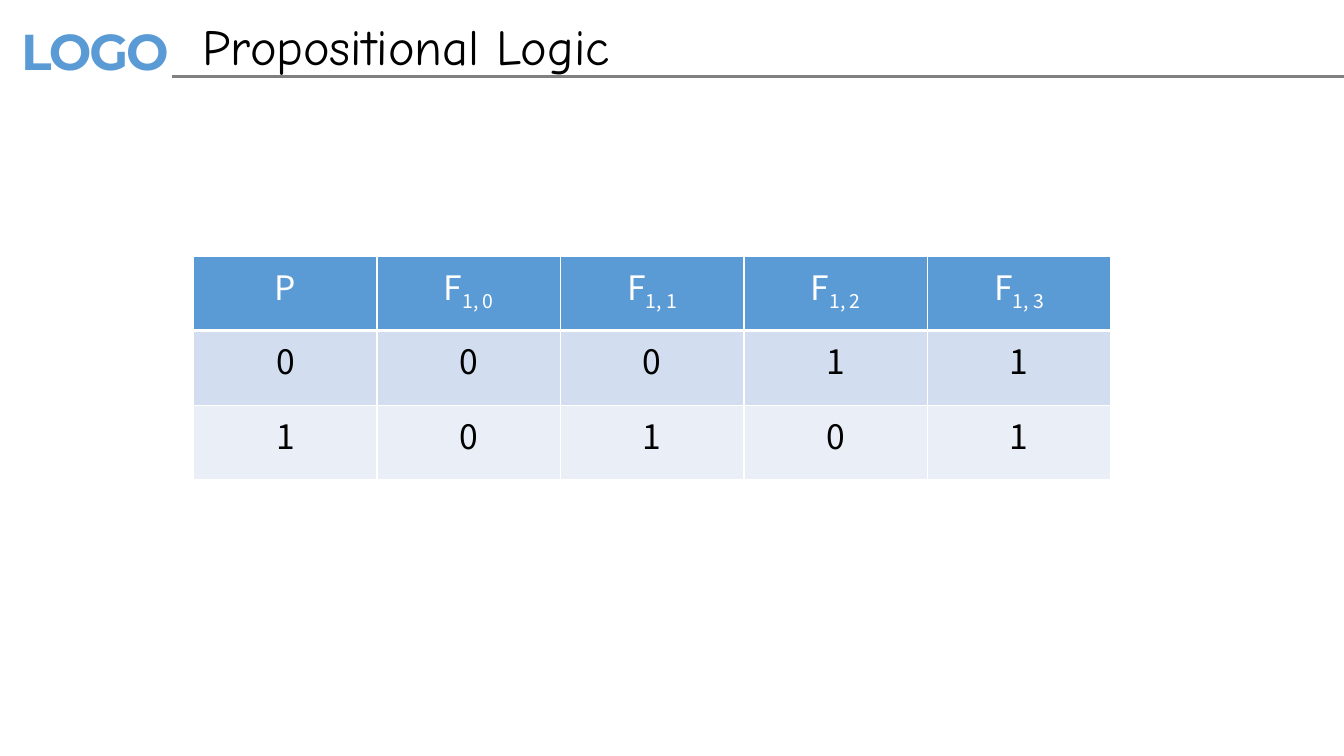
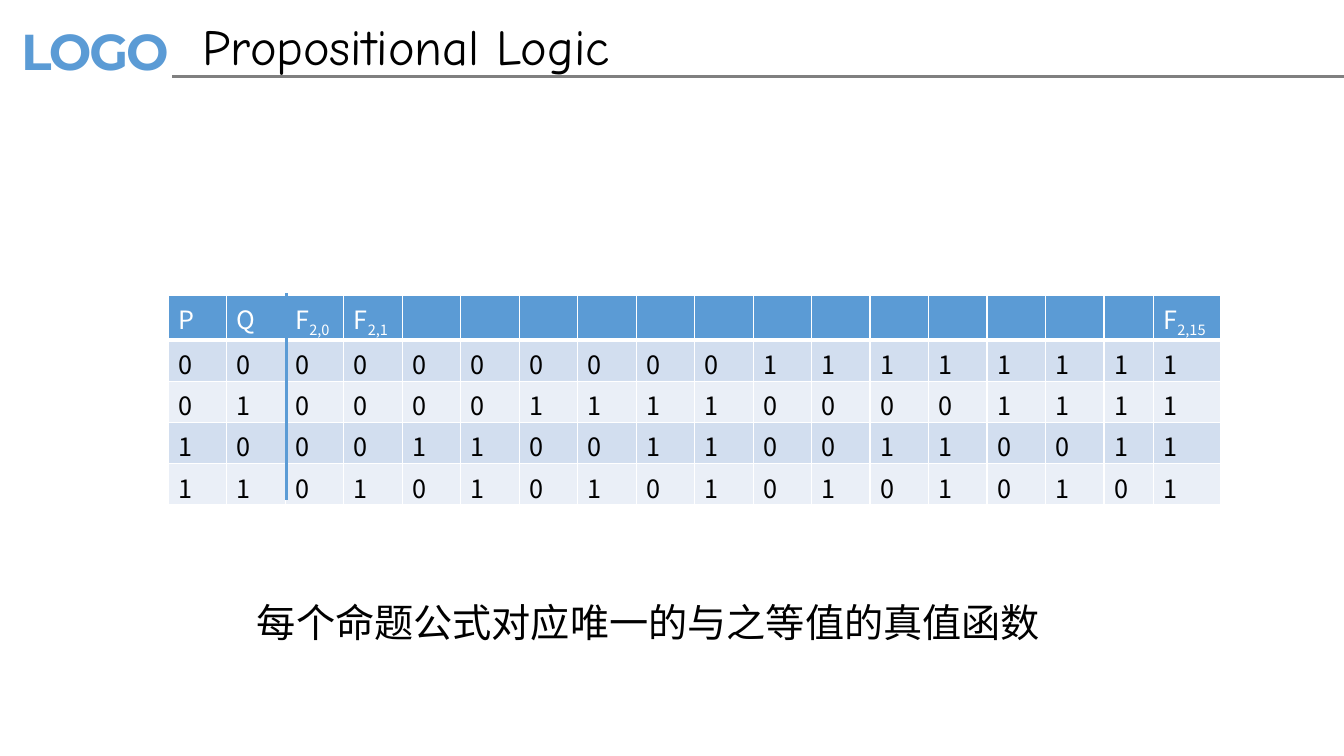
from itertools import product

from lxml import etree
from pptx import Presentation
from pptx.dml.color import RGBColor
from pptx.enum import shapes, text
from pptx.oxml.ns import qn
from pptx.util import Inches, Pt

BLUE = RGBColor(0x5B, 0x9B, 0xD5)
GRAY = RGBColor(0x80, 0x80, 0x80)
BLACK = RGBColor(0x00, 0x00, 0x00)
WHITE = RGBColor(0xFF, 0xFF, 0xFF)
BANDS = (RGBColor(0xD2, 0xDE, 0xEF), RGBColor(0xEA, 0xEF, 0xF7))

TITLE_FONT = "Comic Neue"
LOGO_FONT = "Montserrat"
BODY_FONT = "Noto Sans CJK SC"
TITLE_ONLY = 5


def write_text(frame, content, size, font=BODY_FONT, color=BLACK, bold=False,
               align=text.PP_ALIGN.LEFT, spacing=None):
    """Write one paragraph; whatever follows an underscore becomes a subscript."""
    paragraph = frame.paragraphs[0]
    paragraph.alignment = align
    base, _, subscript = content.partition("_")
    for part, baseline in ((base, None), (subscript, "-25000")):
        if not part:
            continue
        run = paragraph.add_run()
        run.text = part
        run.font.size = Pt(size)
        run.font.bold = bold
        run.font.color.rgb = color
        run.font.name = font
        properties = run.font._element
        etree.SubElement(properties, qn("a:ea"), typeface=font)
        if baseline:
            properties.set("baseline", baseline)
        if spacing:
            properties.set("spc", str(int(spacing * 100)))


def set_frame(frame, horizontal=0.1, vertical=0.05):
    frame.word_wrap = True
    frame.auto_size = text.MSO_AUTO_SIZE.SHAPE_TO_FIT_TEXT
    frame.vertical_anchor = text.MSO_ANCHOR.TOP
    frame.margin_left = frame.margin_right = Inches(horizontal)
    frame.margin_top = frame.margin_bottom = Inches(vertical)


def add_text(slide, box, content, size, margins=(0.1, 0.05), **style):
    shape = slide.shapes.add_textbox(*map(Inches, box))
    set_frame(shape.text_frame, *margins)
    write_text(shape.text_frame, content, size, **style)
    return shape


def add_line(slide, start, end, color, width):
    line = slide.shapes.add_connector(
        shapes.MSO_CONNECTOR.STRAIGHT, *map(Inches, (*start, *end)))
    line.line.color.rgb = color
    line.line.width = Pt(width)
    etree.SubElement(line._element.spPr, qn("a:effectLst"))
    return line


def move_header_to_layout(slide):
    """Draw the shared mark and rule, then hand them to the slide's layout."""
    mark = add_text(slide, (0.08, 0.13, 1.86, 0.74), "LOGO", 36, margins=(0.13, 0.07),
                    font=LOGO_FONT, color=BLUE, bold=True, spacing=-1.5)
    rule = add_line(slide, (1.71, 0.76), (13.33, 0.76), GRAY, 2)
    for shape in (mark, rule):
        slide.slide_layout.shapes.element.append(shape._element)


def set_title(slide, content):
    title = slide.shapes.title
    title.left, title.top, title.width, title.height = map(Inches, (1.91, 0.1, 6.3, 0.71))
    set_frame(title.text_frame)
    write_text(title.text_frame, content, 36, font=TITLE_FONT)


def set_borders(cell, bottom):
    properties = cell._tc.get_or_add_tcPr()
    for side, width in (("L", 1), ("R", 1), ("T", 1), ("B", bottom)):
        border = etree.SubElement(properties, qn(f"a:ln{side}"), w=str(Pt(width)))
        fill = etree.SubElement(border, qn("a:solidFill"))
        etree.SubElement(fill, qn("a:srgbClr"), val=str(WHITE))


def truth_rows(variables):
    """Give each input combination followed by the values of all truth functions."""
    inputs = list(product((0, 1), repeat=variables))
    last = len(inputs) - 1
    return [[*values, *((function >> (last - row)) & 1 for function in range(2 ** len(inputs)))]
            for row, values in enumerate(inputs)]


def add_truth_table(slide, left, top, widths, row_height, header, variables, size, align):
    rows = [header, *truth_rows(variables)]
    frame = slide.shapes.add_table(
        len(rows), len(header), Inches(left), Inches(top),
        Inches(sum(widths)), Inches(row_height * len(rows)))
    table = frame.table
    for column, width in zip(table.columns, widths):
        column.width = Inches(width)
    for row_index, values in enumerate(rows):
        is_header = row_index == 0
        table.rows[row_index].height = Inches(row_height)
        for column_index, value in enumerate(values):
            cell = table.cell(row_index, column_index)
            set_borders(cell, bottom=3 if is_header else 1)
            cell.fill.solid()
            cell.fill.fore_color.rgb = BLUE if is_header else BANDS[(row_index - 1) % 2]
            write_text(cell.text_frame, str(value), size,
                       color=WHITE if is_header else BLACK, align=align)


def build_one_variable(slide):
    header = ["P", *(f"F_1, {number}" for number in range(4))]
    add_truth_table(slide, 1.92, 2.54, [1.82] * 5, 0.74, header, variables=1,
                    size=24, align=text.PP_ALIGN.CENTER)


def build_two_variables(slide):
    left, top, column, row = 1.67, 2.93, 0.58, 0.41
    header = ["P", "Q", "F_2,0", "F_2,1", *[""] * 13, "F_2,15"]
    add_truth_table(slide, left, top, [column] * 16 + [0.49, 0.67], row, header,
                    variables=2, size=18, align=text.PP_ALIGN.LEFT)
    divider = left + 2 * column + 0.01
    add_line(slide, (divider, top - 0.02), (divider, top + 5 * row - 0.02), BLUE, 2.25)
    add_text(slide, (2.45, 5.89, 8.77, 0.57), "每个命题公式对应唯一的与之等值的真值函数", 28)


def main():
    presentation = Presentation()
    presentation.slide_width = Inches(13.33)
    presentation.slide_height = Inches(7.5)
    layout = presentation.slide_layouts[TITLE_ONLY]
    for index, build in enumerate((build_one_variable, build_two_variables)):
        slide = presentation.slides.add_slide(layout)
        if index == 0:
            move_header_to_layout(slide)
        set_title(slide, "Propositional Logic")
        build(slide)
    presentation.save("out.pptx")


if __name__ == "__main__":
    main()
